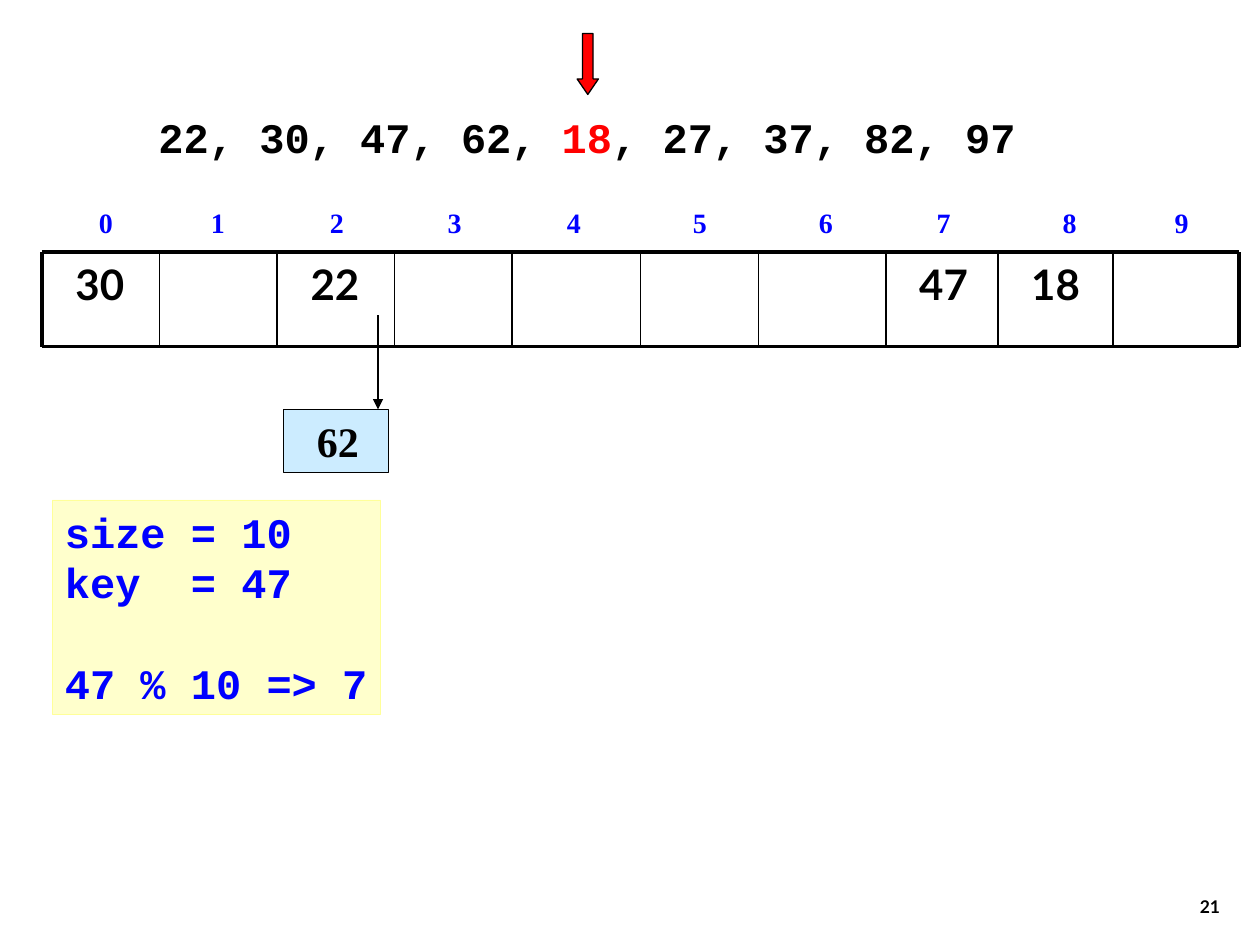
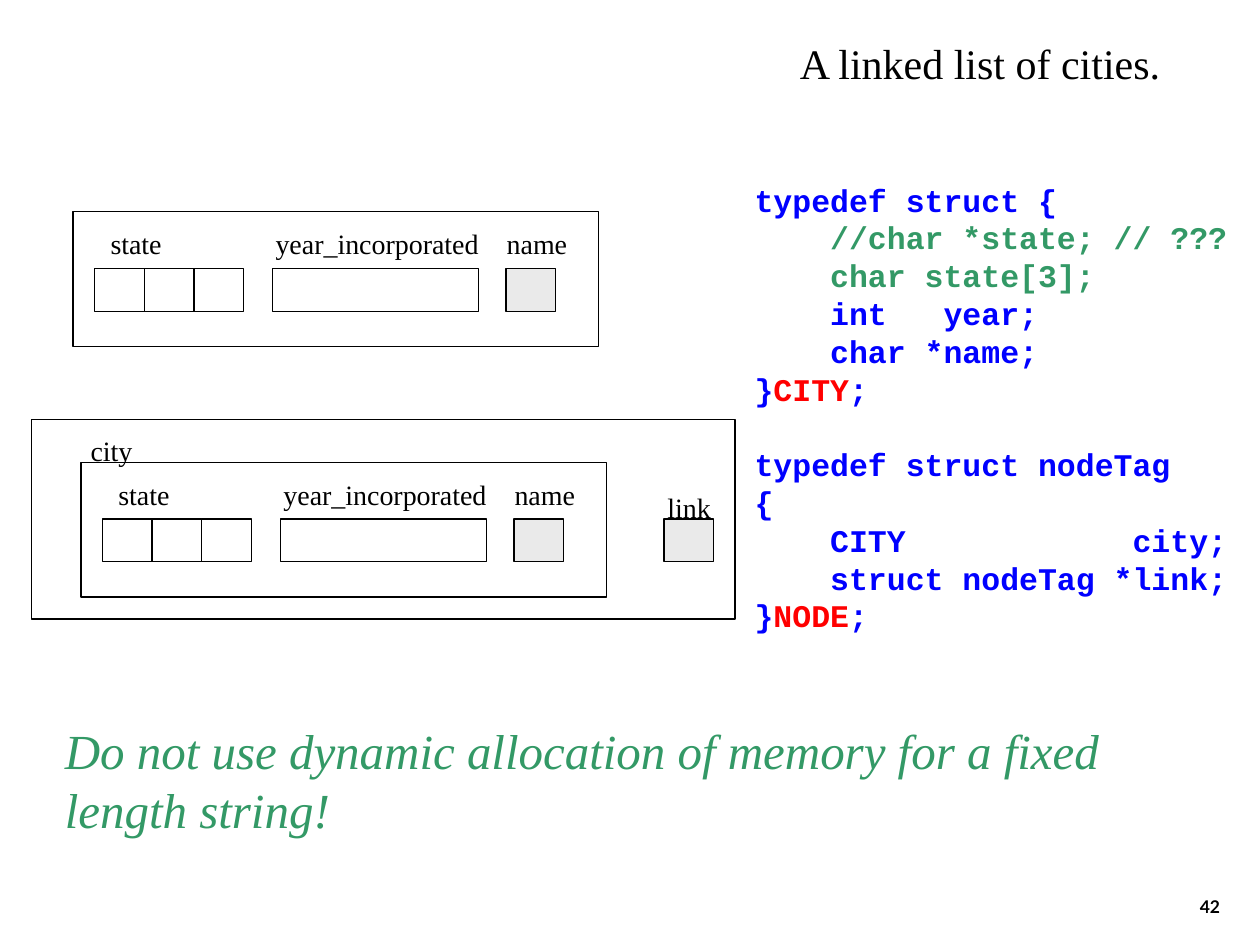
import lxml.etree
import pptx
import pptx.dml.color
import pptx.enum.shapes
import pptx.enum.text
import pptx.oxml.ns
import pptx.util

Pt = pptx.util.Pt
SHAPES = pptx.enum.shapes.MSO_SHAPE
ALIGN = pptx.enum.text.PP_ALIGN
ANCHOR = pptx.enum.text.MSO_ANCHOR
BLACK, WHITE, BLUE, RED, GREEN = "000000", "FFFFFF", "0000FF", "FF0000", "339966"
POINTER_GRAY, CHAIN_BLUE, NOTE_YELLOW, NOTE_EDGE = "EAEAEA", "CCECFF", "FFFFCC", "FFFF99"

CODE = {"name": "Courier New", "size": Pt(24), "bold": True}
STRUCT_CODE = {**CODE, "size": Pt(18)}
BUCKET = {"name": "Lato", "size": Pt(24), "bold": True}
PAGE_NUMBER = {**BUCKET, "size": Pt(10)}
CHAINED = {"name": "Times New Roman", "size": Pt(24), "bold": True}
INDEX = {**CHAINED, "size": Pt(16)}
HEADING = {"name": "Times New Roman", "size": Pt(24)}
FIELD = {**HEADING, "size": Pt(16)}
ADVICE = {**HEADING, "size": Pt(28), "italic": True}

BUCKET_EDGES = [24, 91.2, 158.4, 225.4, 292.4, 366, 433.4, 506.2, 570.2, 636, 708]
BUCKET_TOP, BUCKET_BOTTOM = 144, 198
BUCKET_KEYS = {0: "30", 2: "22", 7: "47", 8: "18"}
INDEX_STOPS = [35.4, 99.4, 167.4, 234.8, 302.8, 374.8, 446.8, 514.2, 586.2, 650.2]
KEY_INDENT = 12

CITY_STRUCT = [
    [("typedef struct {", BLUE)],
    [("    //char *state; // ???", GREEN)],
    [("    char state[3];", GREEN)],
    [("    int   year;", BLUE)],
    [("    char *name;", BLUE)],
    [("}", BLUE), ("CITY", RED), (";", BLUE)],
]
NODE_STRUCT = [
    [("typedef struct nodeTag", BLUE)],
    [("{", BLUE)],
    [("    CITY            city;", BLUE)],
    [("    struct nodeTag *link;", BLUE)],
    [("}", BLUE), ("NODE", RED), (";", BLUE)],
]


def rgb(hex_text):
    """Turn a hex string into a colour."""
    return pptx.dml.color.RGBColor.from_string(hex_text)


def add_child(parent, tag, **attributes):
    """Append a drawing element and return it."""
    child = lxml.etree.SubElement(parent, pptx.oxml.ns.qn(tag))
    for name, value in attributes.items():
        child.set(name, str(value))
    return child


def write(shape, lines, style, align=ALIGN.LEFT, anchor=ANCHOR.TOP, wrap=False,
          indent=0, stops=(), gaps=None):
    """Write lines of (text, colour) runs; gaps maps a line number to its space before."""
    frame = shape.text_frame
    frame.word_wrap, frame.vertical_anchor = wrap, anchor
    for number, line in enumerate(lines):
        paragraph = frame.add_paragraph() if number else frame.paragraphs[0]
        properties = paragraph._p.get_or_add_pPr()
        properties.set("marL", str(Pt(indent)))
        if stops:
            tab_list = add_child(properties, "a:tabLst")
            for stop in stops:
                add_child(tab_list, "a:tab", pos=Pt(stop), algn="ctr")
        paragraph.alignment = align
        if gaps and number in gaps:
            paragraph.space_before = Pt(gaps[number])
        for text, color in line:
            run = paragraph.add_run()
            run.text = text
            for name, value in style.items():
                setattr(run.font, name, value)
            run.font.color.rgb = rgb(color)


def add_text(slide, box, lines, style, **layout):
    """Add a text box at (left, top, width, height)."""
    write(slide.shapes.add_textbox(*map(Pt, box)), lines, style, **layout)


def add_box(slide, box, fill=WHITE, edge=BLACK, edge_width=0.75, kind=SHAPES.RECTANGLE):
    """Add a filled, outlined shape and return it."""
    shape = slide.shapes.add_shape(kind, *map(Pt, box))
    shape.shadow.inherit = False
    shape.fill.solid()
    shape.fill.fore_color.rgb = rgb(fill)
    shape.line.color.rgb = rgb(edge)
    shape.line.width = Pt(edge_width)
    return shape


def add_line(slide, start, end, width, arrow=False):
    """Add a straight black line, with an arrowhead at its end if asked."""
    line = slide.shapes.add_connector(
        pptx.enum.shapes.MSO_CONNECTOR.STRAIGHT, *map(Pt, start + end))
    line.line.color.rgb = rgb(BLACK)
    line.line.width = Pt(width)
    if arrow:
        add_child(line.line._get_or_add_ln(), "a:tailEnd", type="triangle")
    add_child(line._element.spPr, "a:effectLst")


def add_page(deck, number):
    """Add a blank slide with its page number."""
    slide = deck.slides.add_slide(deck.slide_layouts[6])
    add_text(slide, (554.4, 491.8, 149.8, 36), [[(number, BLACK)]], PAGE_NUMBER,
             align=ALIGN.RIGHT, anchor=ANCHOR.BOTTOM, wrap=True)
    return slide


def add_buckets(slide):
    """Draw the ten hash table buckets with their keys and indexes."""
    for index, key in BUCKET_KEYS.items():
        left, right = BUCKET_EDGES[index:index + 2]
        add_text(slide, (left, BUCKET_TOP, right - left, BUCKET_BOTTOM - BUCKET_TOP),
                 [[(key, BLACK)]], BUCKET, indent=KEY_INDENT, wrap=True)
    first, last = BUCKET_EDGES[0], BUCKET_EDGES[-1]
    for y in (BUCKET_TOP, BUCKET_BOTTOM):
        add_line(slide, (first, y), (last, y), 2.25)
    for x in BUCKET_EDGES:
        add_line(slide, (x, BUCKET_TOP), (x, BUCKET_BOTTOM), 2.25 if x in (first, last) else 1)
    indexes = "".join(f"\t{index}" for index in range(len(INDEX_STOPS)))
    add_text(slide, (18, 113.8, 690, 26), [[(indexes, BLUE)]], INDEX,
             stops=INDEX_STOPS, wrap=True)


def add_field_label(slide, left, top, width, name):
    """Label a struct field."""
    add_text(slide, (left, top, width, 26.6), [[(name, BLACK)]], FIELD, align=ALIGN.CENTER)


def add_city(slide, left, top):
    """Draw a city record: three state characters, a year and a name pointer."""
    add_box(slide, (left, top, 300.2, 77))
    cells = [(12.25 + 28.4 * place, 28.4, WHITE) for place in range(3)]
    cells += [(113.8, 118, WHITE), (247.4, 28.4, POINTER_GRAY)]
    for offset, width, fill in cells:
        add_box(slide, (left + offset, top + 32.4, width, 24.5), fill)
    for offset, width, name in ((11, 50, "state"), (106.7, 134, "year_incorporated"),
                                (238, 54, "name")):
        add_field_label(slide, left + offset, top + 5.2, width, name)


def build_hash_slide(deck):
    """Build the slide on inserting keys into a chained hash table."""
    slide = add_page(deck, "21")
    add_buckets(slide)
    chained = add_box(slide, (162, 234, 60, 36), CHAIN_BLUE)
    write(chained, [[("62", BLACK)]], CHAINED, indent=KEY_INDENT, wrap=True)
    add_line(slide, (216, 180), (216, 234), 0.75, arrow=True)
    add_text(slide, (83.5, 60, 504, 36),
             [[("22, 30, 47, 62, ", BLACK), ("18", RED), (", 27, 37, 82, 97", BLACK)]], CODE)
    marker = add_box(slide, (329.8, 19.2, 12.2, 34.8), RED, kind=SHAPES.DOWN_ARROW)
    marker.adjustments[1] = 0.727
    note = add_box(slide, (30, 285.6, 187.6, 122.6), NOTE_YELLOW, NOTE_EDGE, 0.25)
    write(note, [[(text, BLUE)] for text in ("size = 10", "key  = 47", "47 % 10 => 7")],
          CODE, gaps={2: 28.8})


def build_list_slide(deck):
    """Build the slide on a linked list of cities."""
    slide = add_page(deck, "42")
    add_text(slide, (424.1, 99.7, 284.4, 289.2), CITY_STRUCT + NODE_STRUCT, STRUCT_CODE,
             gaps={len(CITY_STRUCT): 21.6})
    add_text(slide, (450, 18, 221.8, 36), [[("A linked list of cities.", BLACK)]], HEADING)
    add_text(slide, (30, 408.2, 660.2, 66.2),
             [[("Do not use dynamic allocation of memory for a fixed length string!", GREEN)]],
             ADVICE, wrap=True)
    add_city(slide, 41.8, 121)
    add_box(slide, (18, 239.8, 402, 114))
    add_city(slide, 46.3, 264.2)
    add_box(slide, (379.4, 296.6, 28.4, 24.5), POINTER_GRAY)
    add_field_label(slide, 370.8, 276.8, 46, "link")
    add_field_label(slide, 40.7, 244.1, 46, "city")


def main():
    """Build and save both slides."""
    deck = pptx.Presentation()
    deck.slide_width, deck.slide_height = Pt(720), Pt(540)
    build_hash_slide(deck)
    build_list_slide(deck)
    deck.save("out.pptx")


if __name__ == "__main__":
    main()
